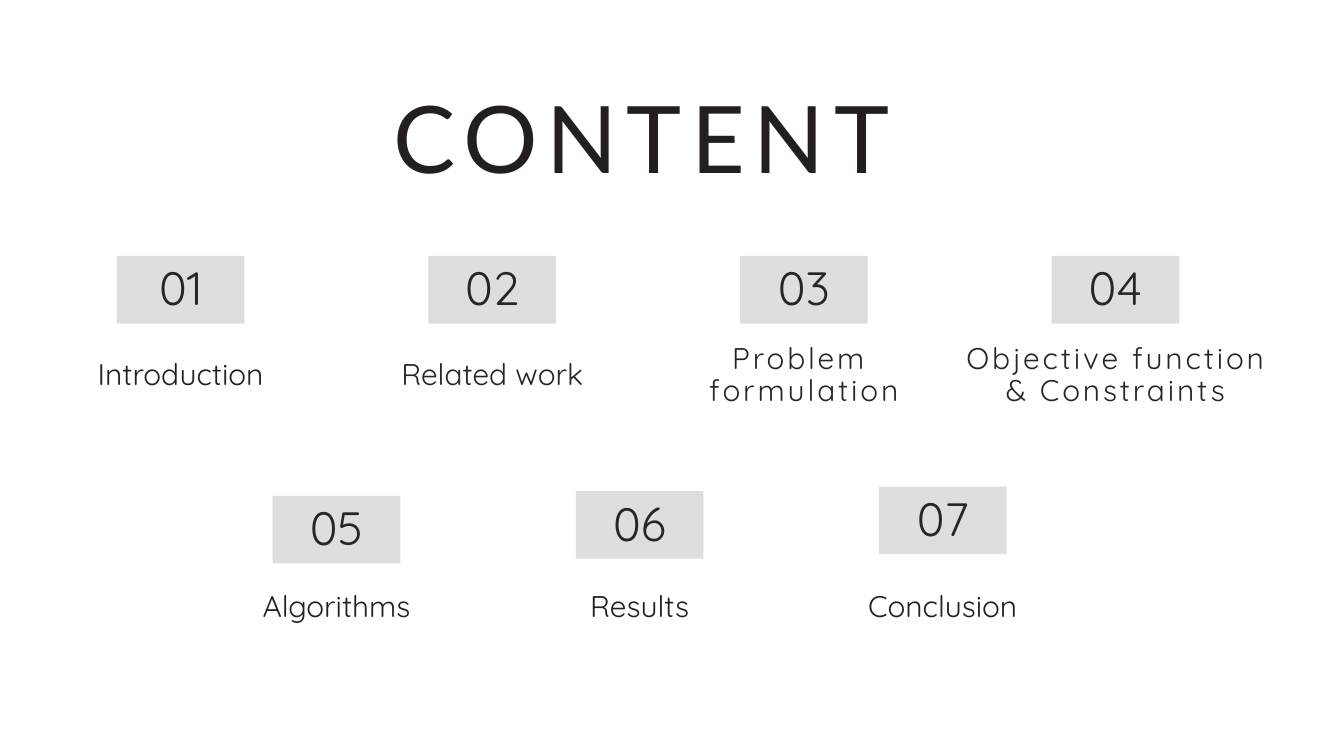
from pptx import Presentation
from pptx import util as u
from pptx.dml.color import RGBColor
from pptx.enum import shapes, text

Pt = u.Pt
HUES = {"ink": "231F20", "dark": "262625", "tile": "DDDEDE"}

# Text formats: face, size, line pitch
HEAD = {"font": {"name": "Lato", "size": Pt(99.8), "bold": False}, "line": 137.7}
NUM = {"font": {"name": "Quicksand", "size": Pt(50)}, "line": 54}
LABEL = {"font": {"name": "Quicksand", "size": Pt(32)}, "line": 34.6}
FRAME = {
    "margin_left": 0, "margin_top": 0, "margin_right": 0, "margin_bottom": 0,
    "word_wrap": True, "vertical_anchor": text.MSO_ANCHOR.TOP,
    "auto_size": text.MSO_AUTO_SIZE.SHAPE_TO_FIT_TEXT,
}

TILE_W, TILE_H = 136.8, 72.4
NUM_W, NUM_H = 61, 56.9
LINE_H = 34.9

# Rows: first tile left and top, step across and down, label top, entries
# Entry: words, colour, label width, letter spacing
ROWS = [
    (125.2, 274.3, 333.85, 0, 385.2, [
        ("Introduction", "ink", 225.4, 0),
        ("Related work", "dark", 225.4, 0),
        ("Problem \nformulation", "dark", 218.2, 3.1),
        ("Objective function\n& Constraints", "dark", 327.6, 3.1),
    ]),
    (292.2, 531.3, 324.75, -5, 632.9, [
        ("Algorithms", "ink", 225.4, 0),
        ("Results", "ink", 225.4, 0),
        ("Conclusion", "ink", 225.4, 0),
    ]),
]


def apply(obj, vals):
    for key, val in vals.items():
        setattr(obj, key, val)


def write(shape, words, style, hue, gap=0):
    """Fill a shape with centred text, one paragraph a line."""
    frame = shape.text_frame
    frame.text = words
    apply(frame, FRAME)
    for para in frame.paragraphs:
        apply(para, {"alignment": text.PP_ALIGN.CENTER,
                     "line_spacing": Pt(style["line"])})
        for run in para.runs:
            apply(run.font, style["font"])
            run.font.color.rgb = RGBColor.from_string(HUES[hue])
            if gap:
                run._r.get_or_add_rPr().set("spc", str(round(gap * 100)))


def add_text(home, mid, top, wide, high, *args):
    """Add a text box centred on mid."""
    box = home.add_textbox(Pt(mid - wide / 2), Pt(top), Pt(wide), Pt(high))
    write(box, *args)


def add_tile(home, left, top, num):
    """Add a grey tile with its number, as one group."""
    group = home.add_group_shape().shapes
    tile = group.add_shape(shapes.MSO_SHAPE.RECTANGLE,
                           Pt(left), Pt(top), Pt(TILE_W), Pt(TILE_H))
    tile.shadow.inherit = False
    tile.fill.solid()
    tile.fill.fore_color.rgb = RGBColor.from_string(HUES["tile"])
    tile.line.fill.background()
    add_text(group, left + TILE_W / 2, top + 9.5, NUM_W, NUM_H,
             f"{num:02d}", NUM, "dark")


def add_label(home, mid, base, words, hue, wide, gap):
    """Add a label; further lines grow evenly up and down from base."""
    count = words.count("\n") + 1
    top = base - (count - 1) * LINE_H / 2
    add_text(home, mid, top, wide, count * LINE_H, words, LABEL, hue, gap)


def main():
    deck = Presentation()
    apply(deck, {"slide_width": Pt(1440), "slide_height": Pt(810)})
    slide = deck.slides.add_slide(deck.slide_layouts[5])
    home = slide.shapes

    # Title
    title = home.title
    apply(title, {"left": Pt(395.3), "top": Pt(68.4),
                  "width": Pt(583.9), "height": Pt(131.8)})
    write(title, "CONTENT", HEAD, "ink", 9.8)

    # Numbered entries
    num = 0
    for left, top, step, drop, base, items in ROWS:
        for col, item in enumerate(items):
            num += 1
            x = left + col * step
            add_tile(home, x, top + col * drop, num)
            add_label(home, x + TILE_W / 2, base, *item)

    deck.save("out.pptx")


if __name__ == "__main__":
    main()
